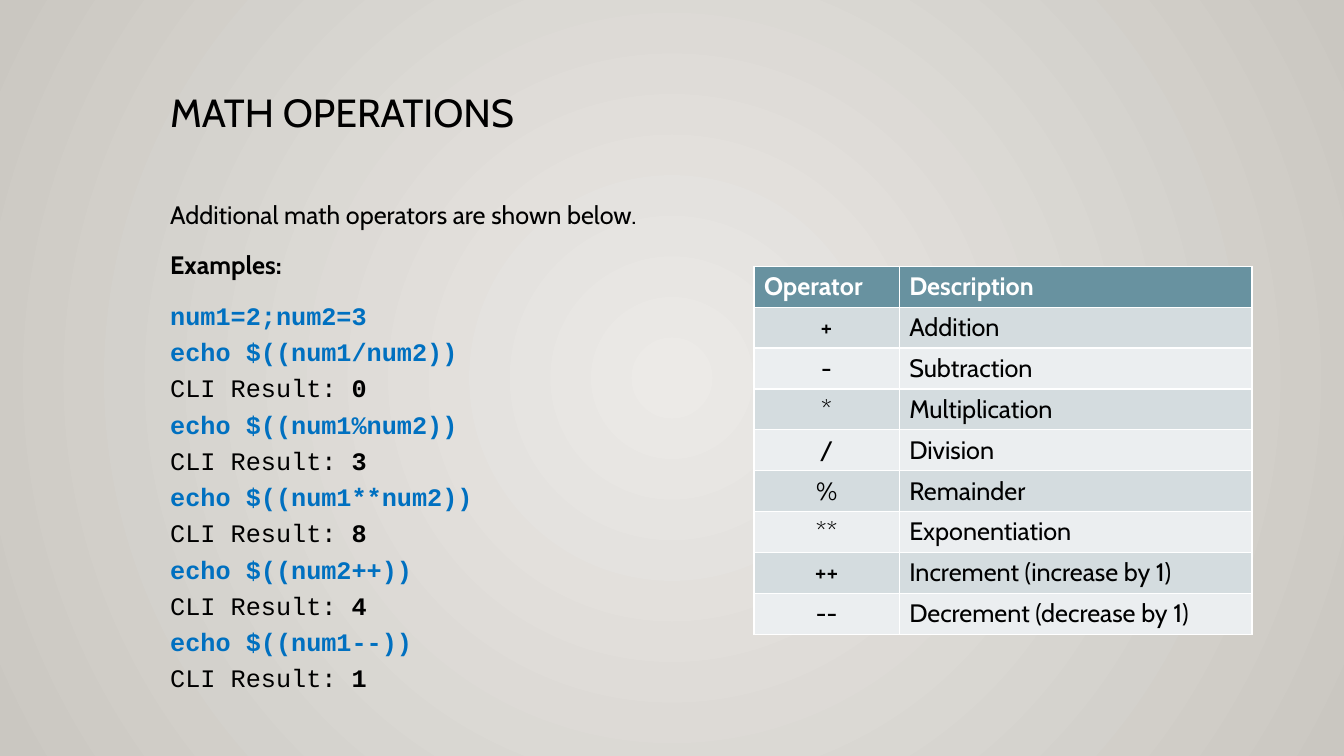
from lxml.etree import SubElement
from pptx import Presentation
from pptx.dml.color import RGBColor
from pptx.enum.text import PP_ALIGN as Align
from pptx.oxml.ns import qn
from pptx.util import Cm, Pt

COLORS = {
    "text": "000000",
    "code": "0070C0",
    "glow": "ECEAE7",
    "edge": "CAC7C1",
    "header": "6892A0",
    "header text": "FFFFFF",
    "odd row": "D4DCDF",
    "even row": "EBEEF0",
}


def add_text_frame(left, top, width, height):
    frame = slide.shapes.add_textbox(Cm(left), Cm(top), Cm(width), Cm(height)).text_frame
    frame.word_wrap = True
    return frame


def style(font, color, size=None, name=None, bold=None):
    font.color.rgb = RGBColor.from_string(COLORS[color])
    font.bold = bold
    if size:
        font.size = Pt(size)
        font.name = name


presentation = Presentation()
presentation.slide_width, presentation.slide_height = Cm(33.87), Cm(19.05)
slide = presentation.slides.add_slide(presentation.slide_layouts[6])

backdrop = slide.background.fill
backdrop.gradient()
for stop, color, position in zip(backdrop.gradient_stops, ("glow", "edge"), (0, 1)):
    stop.color.rgb = RGBColor.from_string(COLORS[color])
    stop.position = position
linear = slide.element.find(".//" + qn("a:lin"))
gradient = linear.getparent()
gradient.remove(linear)
circle = SubElement(gradient, qn("a:path"), path="circle")
SubElement(circle, qn("a:fillToRect"), l="50000", t="50000", r="50000", b="50000")

heading = add_text_frame(4.04, 2.24, 26.67, 2.92).paragraphs[0]
heading.text = "MATH OPERATIONS"
heading.line_spacing = 0.9
style(heading.font, "text", 28, "Cabin")

lesson = add_text_frame(4.04, 4.75, 12.55, 13.21)
intro, examples, session = lesson.paragraphs[0], lesson.add_paragraph(), lesson.add_paragraph()
for paragraph in (intro, examples, session):
    paragraph.line_spacing = 1.2
    paragraph.space_before = Pt(10)
intro.text = "Additional math operators are shown below."
style(intro.font, "text", 18, "Cabin")
examples.text = "Examples:"
style(examples.font, "text", 18, "Cabin", True)

session.font.size = Pt(18)
session.font.name = "Courier New"
assignment = session.add_run()
assignment.text = "num1=2;num2=3"
style(assignment.font, "code", bold=True)
results = {"num1/num2": 0, "num1%num2": 3, "num1**num2": 8, "num2++": 4, "num1--": 1}
for expression, result in results.items():
    session.add_line_break()
    command = session.add_run()
    command.text = f"echo $(({expression}))"
    style(command.font, "code", bold=True)
    session.add_line_break()
    for words, bold in (("CLI Result:", False), (f" {result}", True)):
        output = session.add_run()
        output.text = words
        style(output.font, "text", bold=bold)
for line_break in session._p.findall(qn("a:br")):
    SubElement(line_break, qn("a:rPr"), sz="1800")

operators = [
    ("Operator", "Description"),
    ("+", "Addition"),
    ("-", "Subtraction"),
    ("*", "Multiplication"),
    ("/", "Division"),
    ("%", "Remainder"),
    ("**", "Exponentiation"),
    ("++", "Increment (increase by 1)"),
    ("--", "Decrement (decrease by 1)"),
]
table = slide.shapes.add_table(
    len(operators), 2, Cm(19), Cm(6.71), Cm(12.55), Cm(1.03 * len(operators))
).table
table.columns[0].width, table.columns[1].width = Cm(3.66), Cm(8.89)
for row, entry in enumerate(operators):
    is_header = row == 0
    fill = "header" if is_header else "odd row" if row % 2 else "even row"
    for column, words in enumerate(entry):
        cell = table.cell(row, column)
        cell.fill.solid()
        cell.fill.fore_color.rgb = RGBColor.from_string(COLORS[fill])
        label = cell.text_frame.paragraphs[0]
        label.text = words
        label.alignment = Align.LEFT if is_header or column else Align.CENTER
        style(label.font, "header text" if is_header else "text", 18, "Cabin", is_header)

presentation.save("out.pptx")
